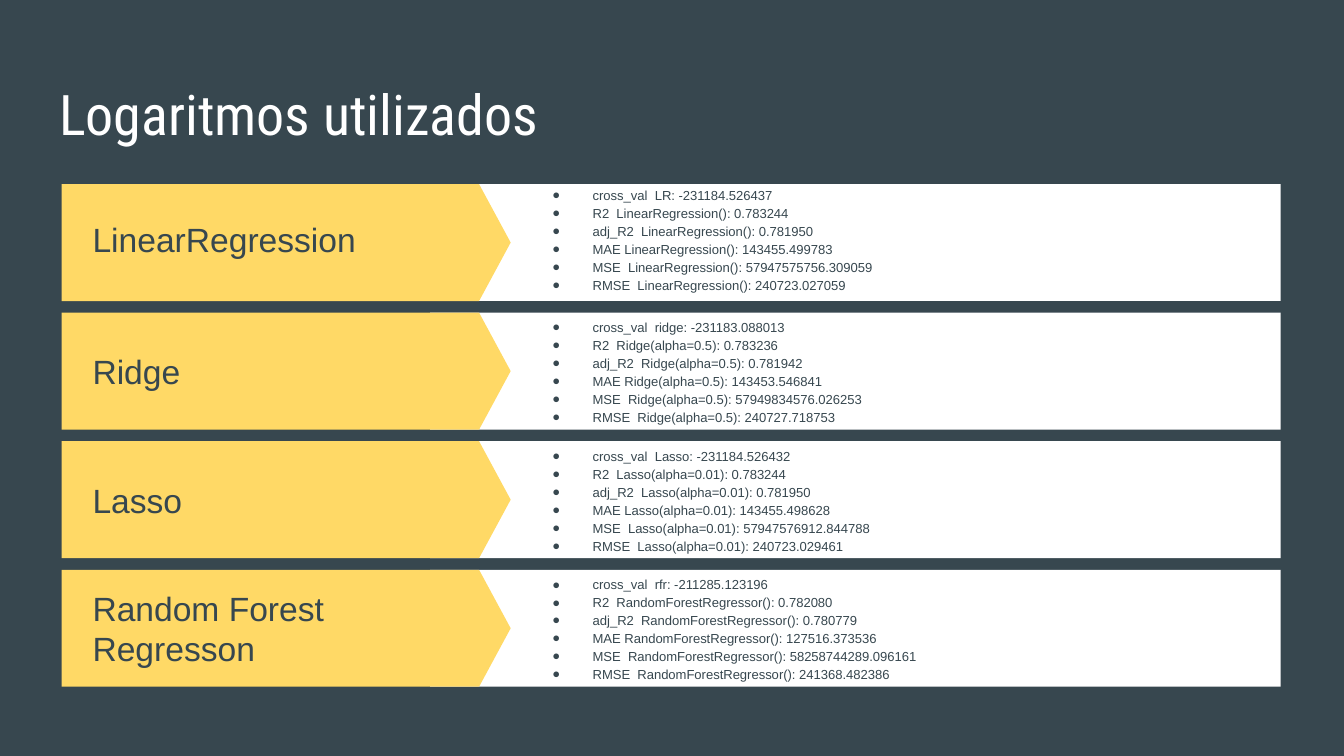
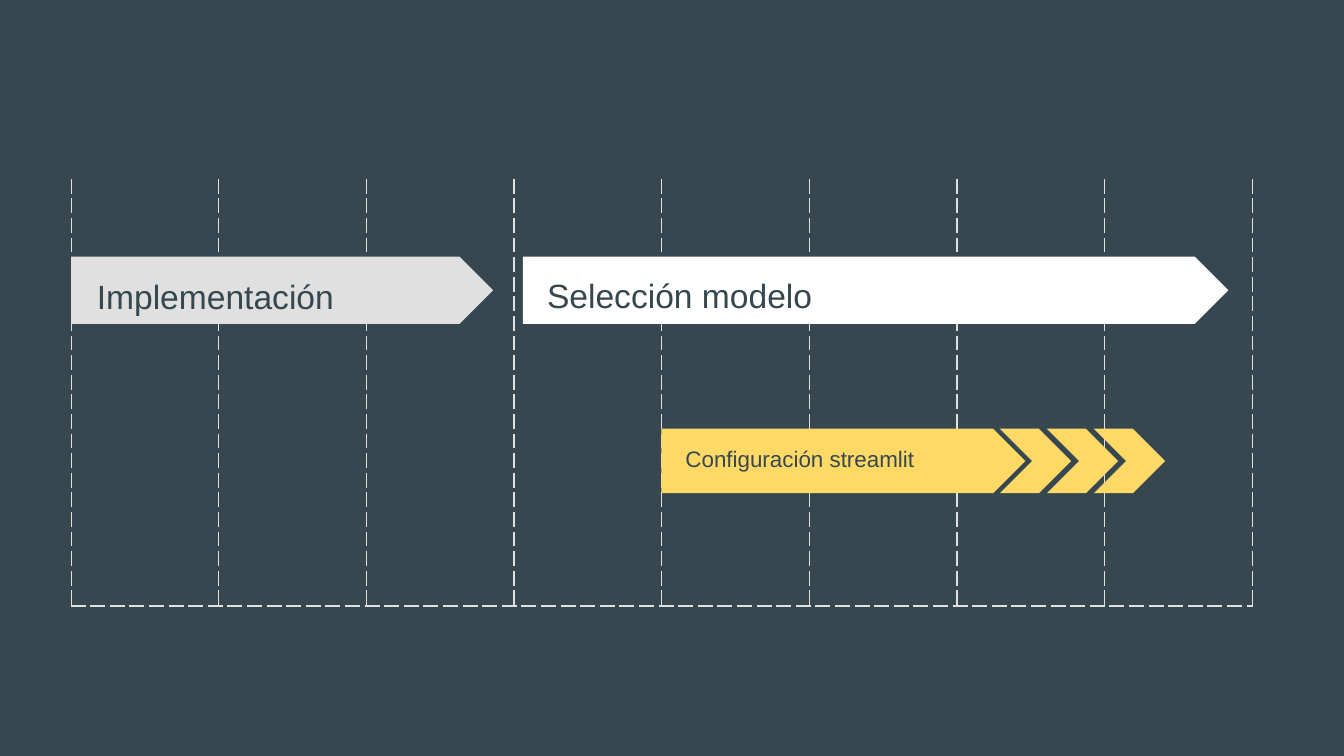
from dataclasses import dataclass

from lxml import etree
from pptx import Presentation
from pptx import util as u
from pptx.dml import color
from pptx.enum import shapes, text
from pptx.oxml import ns

COLOURS = {
    "slate": "37474F",
    "yellow": "FFD966",
    "white": "FFFFFF",
    "grey": "E0E0E0",
}
FRAME = {
    "margin_left": u.Inches(0.1),
    "margin_right": u.Inches(0.1),
    "margin_top": u.Inches(0.1),
    "margin_bottom": u.Inches(0.1),
    "word_wrap": True,
    "auto_size": text.MSO_AUTO_SIZE.NONE,
}
PARAGRAPH = {
    "alignment": text.PP_ALIGN.LEFT,
    "space_before": u.Pt(0),
    "space_after": u.Pt(0),
}
SLIDE_WIDTH = u.Inches(10)
SLIDE_SIZE = {"slide_width": SLIDE_WIDTH, "slide_height": SLIDE_WIDTH * 9 // 16}
TOP = text.MSO_ANCHOR.TOP
MIDDLE = text.MSO_ANCHOR.MIDDLE
PENTAGON = shapes.MSO_SHAPE.PENTAGON
COMPARISON_LAYOUT = 4
METRICS = ("R2 ", "adj_R2 ", "MAE", "MSE ", "RMSE ")


@dataclass(frozen=True)
class Box:
    """A position and size in inches."""
    left: float
    top: float
    width: float
    height: float

    def lengths(self) -> tuple:
        """Return the four lengths for python-pptx."""
        return tuple(u.Inches(value) for value in
                     (self.left, self.top, self.width, self.height))


@dataclass(frozen=True)
class Style:
    """The look of a text block."""
    size: float
    colour: str = "slate"
    font: str = "Arial"
    anchor: text.MSO_ANCHOR = TOP
    spacing: float = 1.0
    bullet: bool = False


@dataclass(frozen=True)
class Model:
    """A regression model with its scores."""
    label: str
    short_name: str
    call: str
    cross_val: str
    scores: tuple
    text_height: float = 0.87

    def lines(self) -> list:
        """Return the list of scores as text."""
        scores = [f"{metric} {self.call}: {score}"
                  for metric, score in zip(METRICS, self.scores)]
        return [f"cross_val  {self.short_name}: {self.cross_val}"] + scores


@dataclass(frozen=True)
class Stage:
    """An arrow of the timeline with its label."""
    label: str
    arrow: Box
    label_box: Box
    colour: str
    size: float
    chevrons: int = 0


TITLE = Style(30, "white", "Roboto Condensed")
MODEL_LABEL = Style(18, anchor=MIDDLE)
SCORE_LIST = Style(7, anchor=MIDDLE, spacing=1.15, bullet=True)

MODELS = (
    Model("LinearRegression", "LR", "LinearRegression()", "-231184.526437",
          ("0.783244", "0.781950", "143455.499783", "57947575756.309059",
           "240723.027059"), 0.82),
    Model("Ridge", "ridge", "Ridge(alpha=0.5)", "-231183.088013",
          ("0.783236", "0.781942", "143453.546841", "57949834576.026253",
           "240727.718753")),
    Model("Lasso", "Lasso", "Lasso(alpha=0.01)", "-231184.526432",
          ("0.783244", "0.781950", "143455.498628", "57947576912.844788",
           "240723.029461")),
    Model("Random Forest Regresson", "rfr", "RandomForestRegressor()",
          "-211285.123196",
          ("0.782080", "0.780779", "127516.373536", "58258744289.096161",
           "241368.482386")),
)
STAGES = (
    Stage("Implementación", Box(0.53, 1.91, 3.14, 0.5),
          Box(0.62, 1.91, 2.81, 0.5), "grey", 18),
    Stage("Selección modelo", Box(3.89, 1.91, 5.25, 0.5),
          Box(3.97, 1.9, 4.89, 0.5), "white", 18),
    Stage("Configuración streamlit", Box(4.92, 3.19, 2.71, 0.48),
          Box(5, 3.18, 2.45, 0.5), "yellow", 12, chevrons=3),
)


def rgb(name: str) -> color.RGBColor:
    """Return the named colour."""
    return color.RGBColor.from_string(COLOURS[name])


def apply(target, values: dict) -> None:
    """Set each attribute in values on the target."""
    for name, value in values.items():
        setattr(target, name, value)


def add_element(parent, tag: str, **attributes: str):
    """Append a DrawingML element to the parent."""
    return etree.SubElement(parent, ns.qn(tag), attributes)


def set_bullets(shape, bullet: bool) -> None:
    """Give every paragraph a bullet, or none."""
    for properties in shape.element.iter(ns.qn("a:pPr")):
        properties.set("marL", str(u.Inches(0.5 if bullet else 0)))
        properties.set("indent", str(u.Inches(-0.3 if bullet else 0)))
        if bullet:
            colour = add_element(properties, "a:buClr")
            add_element(colour, "a:srgbClr", val=COLOURS["slate"])
            add_element(properties, "a:buFont", typeface="Arial")
            add_element(properties, "a:buChar", char="●")
        else:
            add_element(properties, "a:buNone")


def write(shape, box: Box, lines: list, style: Style) -> None:
    """Place a text shape in front and fill it with formatted lines."""
    apply(shape, dict(zip(("left", "top", "width", "height"), box.lengths())))
    shape.element.getparent().append(shape.element)
    frame = shape.text_frame
    apply(frame, FRAME | {"vertical_anchor": style.anchor})
    frame.text = "\n".join(lines)
    for paragraph in frame.paragraphs:
        apply(paragraph, PARAGRAPH | {"line_spacing": style.spacing})
        for run in paragraph.runs:
            apply(run.font, {"name": style.font, "size": u.Pt(style.size),
                             "bold": False})
            run.font.color.rgb = rgb(style.colour)
    set_bullets(shape, style.bullet)


def add_block(parent, kind: shapes.MSO_SHAPE, box: Box, colour: str,
              adjustment: float | None = None) -> None:
    """Add a flat filled shape."""
    shape = parent.shapes.add_shape(kind, *box.lengths())
    shape.shadow.inherit = False
    shape.fill.solid()
    shape.fill.fore_color.rgb = rgb(colour)
    shape.line.fill.background()
    if adjustment is not None:
        shape.adjustments[0] = adjustment


def add_grid(slide, box: Box, columns: int) -> None:
    """Add the one-row table with dashed borders and an open top."""
    frame = slide.shapes.add_table(1, columns, *box.lengths())
    table = frame.table
    apply(table, {"first_row": False, "horz_banding": False})
    for column in table.columns:
        column.width = u.Inches(box.width / columns)
    for cell in table.iter_cells():
        cell.fill.background()
    for properties in frame.element.iter(ns.qn("a:tcPr")):
        for position, side in enumerate("LRTB"):
            line = etree.Element(ns.qn(f"a:ln{side}"), w=str(u.Pt(0.75)))
            if side == "T":
                add_element(line, "a:noFill")
            else:
                fill = add_element(line, "a:solidFill")
                add_element(fill, "a:srgbClr", val=COLOURS["grey"])
                add_element(line, "a:prstDash", val="dash")
            properties.insert(position, line)


def build_models(presentation) -> None:
    """Build the slide that compares the models."""
    slide = presentation.slides.add_slide(
        presentation.slide_layouts[COMPARISON_LAYOUT])
    write(slide.shapes.title, Box(0.34, 0.49, 9.32, 0.63),
          ["Logaritmos utilizados"], TITLE)
    for index, model in enumerate(MODELS):
        top = 1.37 + 2.87 * index / 3
        band = slide.shapes.add_group_shape()
        add_block(band, shapes.MSO_SHAPE.RECTANGLE,
                  Box(3.2, top, 6.33, 0.87), "white")
        add_block(band, PENTAGON, Box(0.46, top, 3.34, 0.87), "yellow", 0.27)
        label_box = Box(0.59, top, 2.65, model.text_height)
        label = slide.shapes.add_textbox(*label_box.lengths())
        write(label, label_box, [model.label], MODEL_LABEL)
        write(slide.placeholders[index + 1],
              Box(3.81, top, 5.59, model.text_height),
              model.lines(), SCORE_LIST)


def build_timeline(presentation) -> None:
    """Build the timeline slide."""
    slide = presentation.slides.add_slide(
        presentation.slide_layouts[COMPARISON_LAYOUT])
    add_grid(slide, Box(0.53, 1.33, 8.79, 3.18), 8)
    for index, stage in enumerate(STAGES, start=1):
        arrow = stage.arrow
        parent = slide.shapes.add_group_shape() if stage.chevrons else slide
        add_block(parent, PENTAGON, arrow, stage.colour, 0.5)
        for step in range(stage.chevrons):
            add_block(parent, shapes.MSO_SHAPE.CHEVRON,
                      Box(7.44 + 0.35 * step, arrow.top, 0.53, arrow.height),
                      stage.colour, 0.5)
        write(slide.placeholders[index], stage.label_box, [stage.label],
              Style(stage.size, spacing=1.15))
    for placeholder in list(slide.placeholders):
        if not placeholder.text_frame.text:
            placeholder.element.getparent().remove(placeholder.element)


def main() -> None:
    """Build and save the presentation."""
    presentation = Presentation()
    apply(presentation, SLIDE_SIZE)
    background = presentation.slide_master.background.fill
    background.solid()
    background.fore_color.rgb = rgb("slate")
    build_models(presentation)
    build_timeline(presentation)
    presentation.save("out.pptx")


if __name__ == "__main__":
    main()
